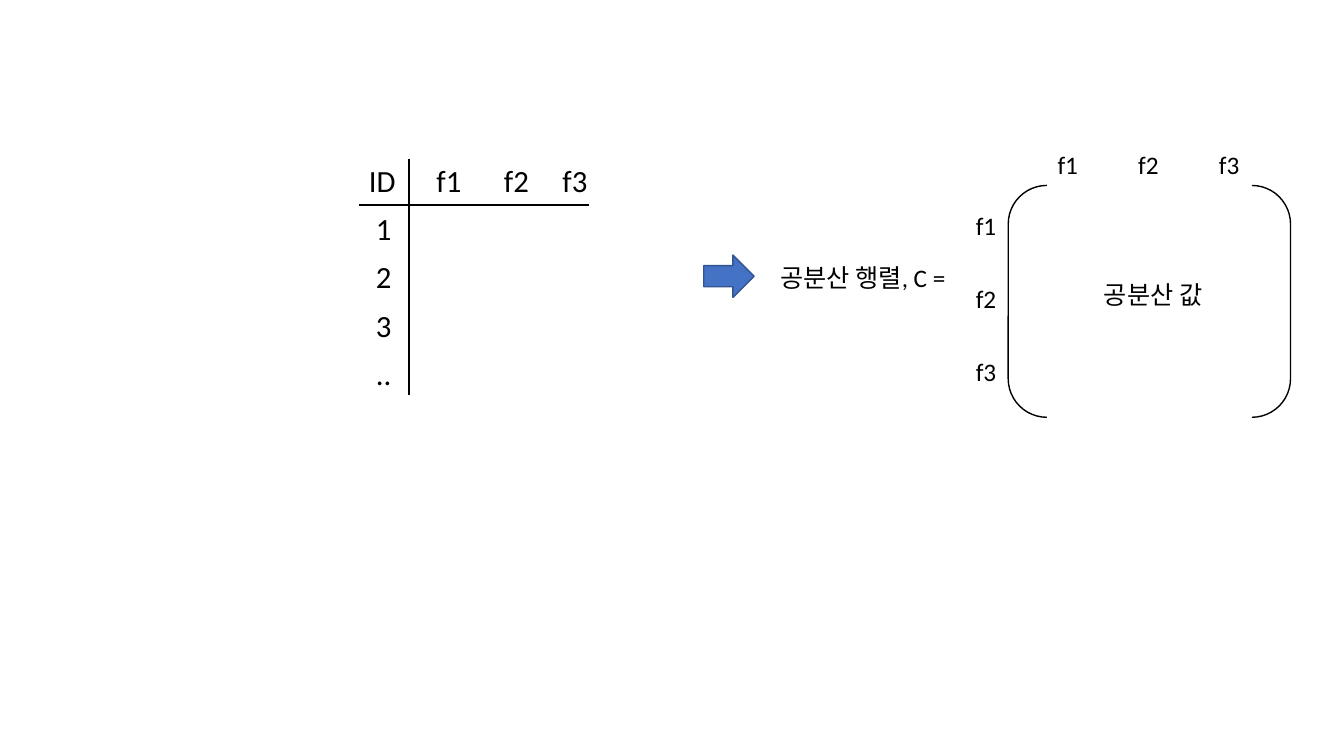
import pptx
import pptx.util
import pptx.dml.color
import pptx.enum.shapes
import pptx.enum.text
import pptx.oxml.ns
import lxml.etree as etree

INCH = pptx.util.Inches
KIND = pptx.enum.shapes.MSO_SHAPE
BLACK, BLUE, NAVY = "000000", "4472C4", "325491"

NAMES = ["f1", "f2", "f3"]
ROWS = ["1", "2", "3", ".."]
TABS = [0.67, 1.34, 1.92]
TABLE = (3.56, 1.45, 2.41, 2.47)
RULES = [(3.56, 2.03, 5.84, 2.03), (4.06, 1.58, 4.06, 3.92)]
ARROW = (6.98, 2.53, 0.5, 0.42)
MATRIX = (10, 1.84, 2.8, 2.3)
LABELS = [("공분산 행렬, C =", (7.64, 2.55, 1.96, 0.4)),
          ("공분산 값", (10.85, 2.72, 1.27, 0.4))]
CELL = (0.41, 0.4)
HEAD = (10.39, 1.43, 0.8)
SIDE = (9.58, 2.04, 0.725)


def color(code):
    return pptx.dml.color.RGBColor.from_string(code)


def place(box):
    return [INCH(part) for part in box]


def write(slide, text, box, size=18, space=None, wrap=False):
    frame = slide.shapes.add_textbox(*place(box)).text_frame
    frame.word_wrap = wrap
    frame.auto_size = pptx.enum.text.MSO_AUTO_SIZE.SHAPE_TO_FIT_TEXT
    frame.text = text
    for para in frame.paragraphs:
        para.line_spacing = space
        for run in para.runs:
            run.font.size = pptx.util.Pt(size)
            run.font.name = "Calibri"
            run.font.color.rgb = color(BLACK)
    return frame


def align(frame):
    """Set tab stops on the header row and indent the rows below it."""
    qn = pptx.oxml.ns.qn
    head, *rows = [para._p.get_or_add_pPr() for para in frame.paragraphs]
    stops = etree.SubElement(head, qn("a:tabLst"))
    for stop in TABS:
        etree.SubElement(stops, qn("a:tab"), pos=str(INCH(stop)), algn="l")
    for row in rows:
        row.set("marL", str(INCH(0.07)))
        row.set("indent", "0")


def rule(slide, ends):
    line = slide.shapes.add_connector(
        pptx.enum.shapes.MSO_CONNECTOR.STRAIGHT, *place(ends))
    line.line.color.rgb = color(BLACK)
    line.line.width = pptx.util.Pt(1.5)
    etree.SubElement(line._element.spPr, pptx.oxml.ns.qn("a:effectLst"))


def draw(slide, kind, box, edge, fill=None):
    shape = slide.shapes.add_shape(kind, *place(box))
    shape.shadow.inherit = False
    if fill:
        shape.fill.solid()
        shape.fill.fore_color.rgb = color(fill)
    else:
        shape.fill.background()
    shape.line.color.rgb = color(edge)
    shape.line.width = pptx.util.Pt(1)


def main():
    deck = pptx.Presentation()
    deck.slide_width, deck.slide_height = place((13.33, 7.5))
    slide = deck.slides.add_slide(deck.slide_layouts[6])
    text = "\n".join(["\t".join(["ID"] + NAMES)] + ROWS)
    align(write(slide, text, TABLE, size=22, space=1.3, wrap=True))
    for ends in RULES:
        rule(slide, ends)
    draw(slide, KIND.RIGHT_ARROW, ARROW, NAVY, fill=BLUE)
    draw(slide, KIND.DOUBLE_BRACKET, MATRIX, BLACK)
    for label, box in LABELS:
        write(slide, label, box)
    for index, name in enumerate(NAMES):
        left, top, step = HEAD
        write(slide, name, (left + index * step, top, *CELL))
        left, top, step = SIDE
        write(slide, name, (left, top + index * step, *CELL))
    deck.save("out.pptx")


if __name__ == "__main__":
    main()
